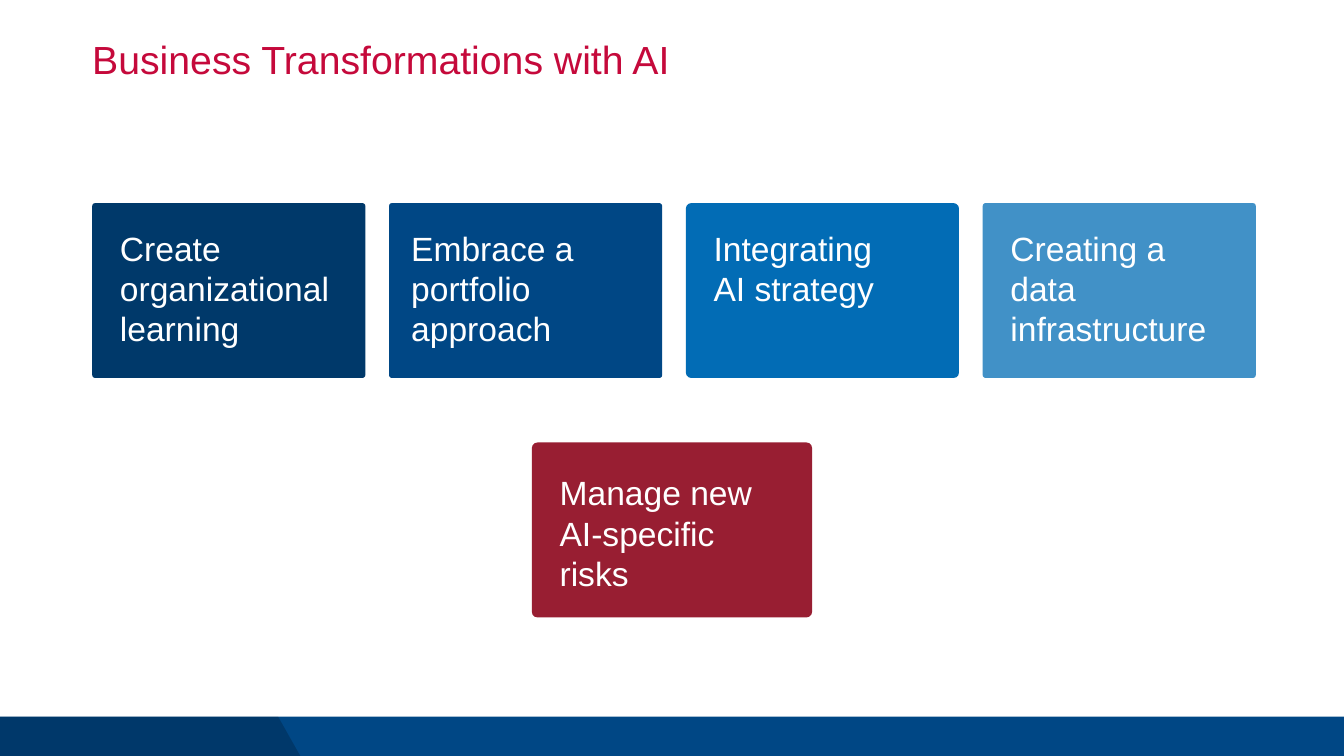
from pptx import Presentation
from pptx.dml.color import RGBColor
from pptx.enum.shapes import MSO_SHAPE as Preset
from pptx.enum.text import MSO_ANCHOR as Anchor, MSO_AUTO_SIZE as AutoSize, PP_ALIGN as Align
from pptx.oxml import parse_xml
from pptx.oxml.ns import nsdecls
from pptx.util import Inches, Pt

COLORS = {"crimson": "C5093B", "navy": "00396A", "blue": "004785", "azure": "026CB5",
          "sky": "4191C7", "maroon": "981E32", "white": "FFFFFF", "black": "000000"}
WIDTH, HEIGHT = 26.67, 15
LEFT, TOP = 1.83, 4.03
COLUMN, ROW = 5.89, 4.75
CARD_WIDTH, CARD_HEIGHT = 5.42, 3.47
WIDE_CARD = 5.56
MIDDLE = ((WIDTH - WIDE_CARD) / 2 - LEFT) / COLUMN
BAND_TOP = 14.22


def rgb(name):
    return RGBColor.from_string(COLORS[name])


class CardSlide:
    """Holds the style and the current slide, and draws its elements."""

    def __init__(self, deck):
        self.slide = deck.slides.add_slide(deck.slide_layouts[5])

    def paint(self, shape, color):
        shape.shadow.inherit = False
        shape.fill.solid()
        shape.fill.fore_color.rgb = rgb(color)
        shape.line.fill.background()

    def set_text(self, frame, lines, color, size, formats, inset=0):
        margins = {f"margin_{side}": Inches(inset) for side in ("left", "top", "right", "bottom")}
        for name, value in {**margins, "word_wrap": True, **formats}.items():
            setattr(frame, name, value)
        frame.text = lines
        for paragraph in frame.paragraphs:
            paragraph.alignment = Align.LEFT
            for name, value in {"name": "Arial", "size": Pt(size)}.items():
                setattr(paragraph.font, name, value)
            paragraph.font.color.rgb = rgb(color)

    def band(self):
        base = self.slide.shapes.add_shape(
            Preset.RECTANGLE, 0, Inches(BAND_TOP), Inches(WIDTH), Inches(HEIGHT - BAND_TOP))
        self.paint(base, "blue")
        outline = self.slide.shapes.build_freeform(0, Inches(BAND_TOP))
        corners = [(5.52, BAND_TOP), (5.96, HEIGHT), (0, HEIGHT)]
        outline.add_line_segments([(Inches(x), Inches(y)) for x, y in corners])
        shade = outline.convert_to_shape()
        self.paint(shade, "black")
        tint = shade.element.spPr.find(".//{*}solidFill/{*}srgbClr")
        tint.append(parse_xml(f'<a:alpha {nsdecls("a")} val="20000"/>'))

    def title(self, words):
        heading = self.slide.shapes.title
        place = {"left": LEFT, "top": 0.8, "width": 23, "height": 1.05}
        for name, value in place.items():
            setattr(heading, name, Inches(value))
        self.set_text(heading.text_frame, words, "crimson", 56,
                      {"vertical_anchor": Anchor.TOP, "auto_size": AutoSize.NONE})
        heading.text_frame.paragraphs[0].line_spacing = 0.9

    def card(self, column, row, lines, color, label_width, label_height=2.37,
             indent=0.5, drop=0.44, corner=0.017, width=CARD_WIDTH):
        left, top = LEFT + column * COLUMN, TOP + row * ROW
        group = self.slide.shapes.add_group_shape().shapes
        panel = group.add_shape(Preset.ROUNDED_RECTANGLE, Inches(left), Inches(top),
                                Inches(width), Inches(CARD_HEIGHT))
        panel.adjustments[0] = corner
        self.paint(panel, color)
        label = group.add_textbox(Inches(left + indent), Inches(top + drop),
                                  Inches(label_width), Inches(label_height))
        self.set_text(label.text_frame, lines, "white", 48,
                      {"auto_size": AutoSize.SHAPE_TO_FIT_TEXT}, inset=0.05)


def main():
    deck = Presentation()
    deck.slide_width, deck.slide_height = Inches(WIDTH), Inches(HEIGHT)
    page = CardSlide(deck)
    page.band()
    page.title("Business Transformations with AI")
    page.card(0, 0, "Create organizational learning", "navy", 4.41)
    page.card(1, 0, "Embrace a portfolio approach", "blue", 4.71, indent=0.39)
    page.card(2, 0, "Integrating\nAI strategy", "azure", 3.97, 1.61, corner=0.031)
    page.card(3, 0, "Creating a data infrastructure", "sky", 4.41)
    page.card(MIDDLE, 1, "Manage new AI-specific risks", "maroon", 3.97,
              drop=0.54, corner=0.031, width=WIDE_CARD)
    deck.save("out.pptx")


if __name__ == "__main__":
    main()
